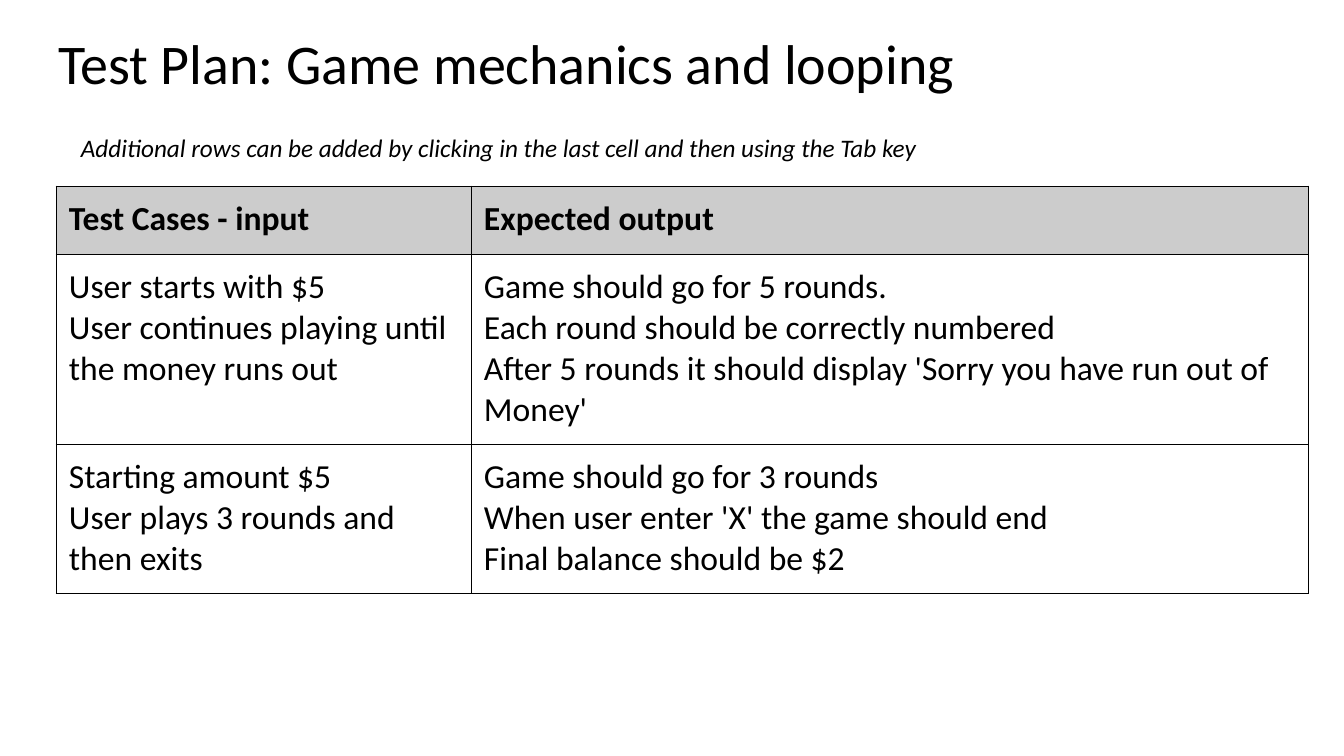
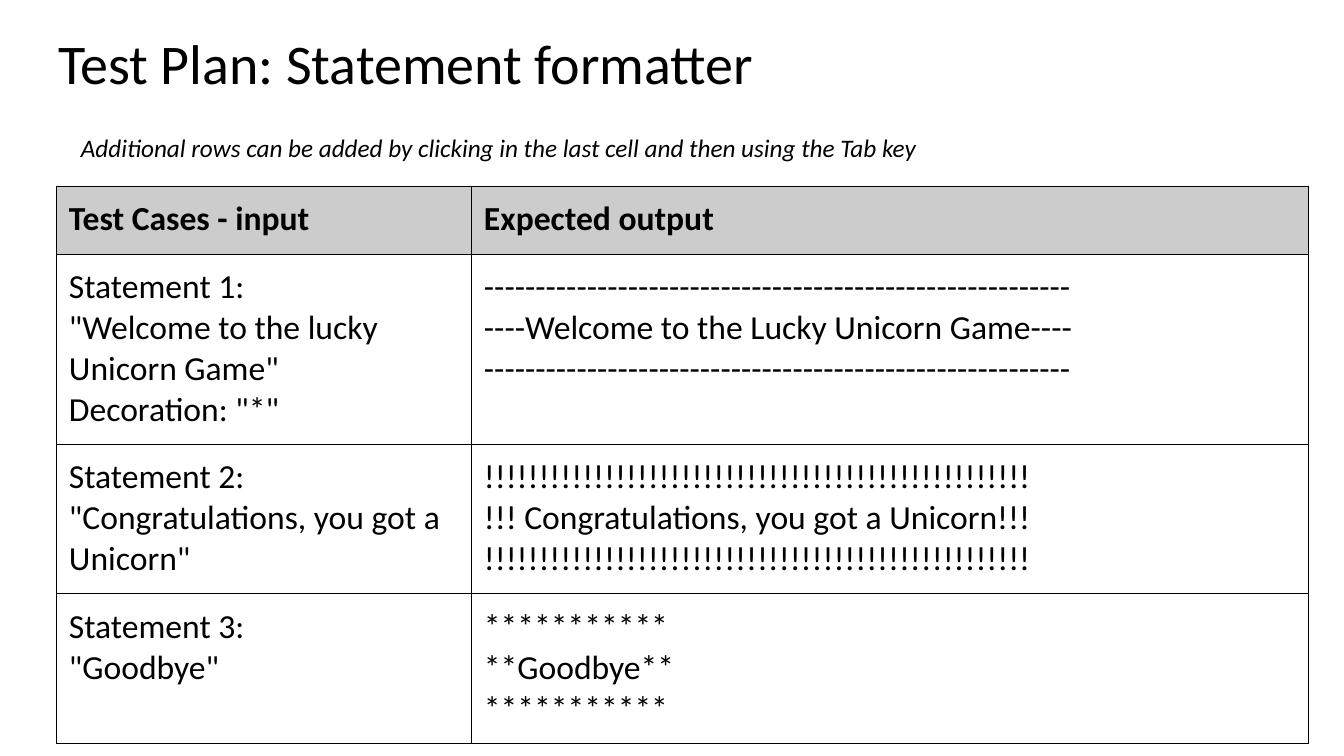
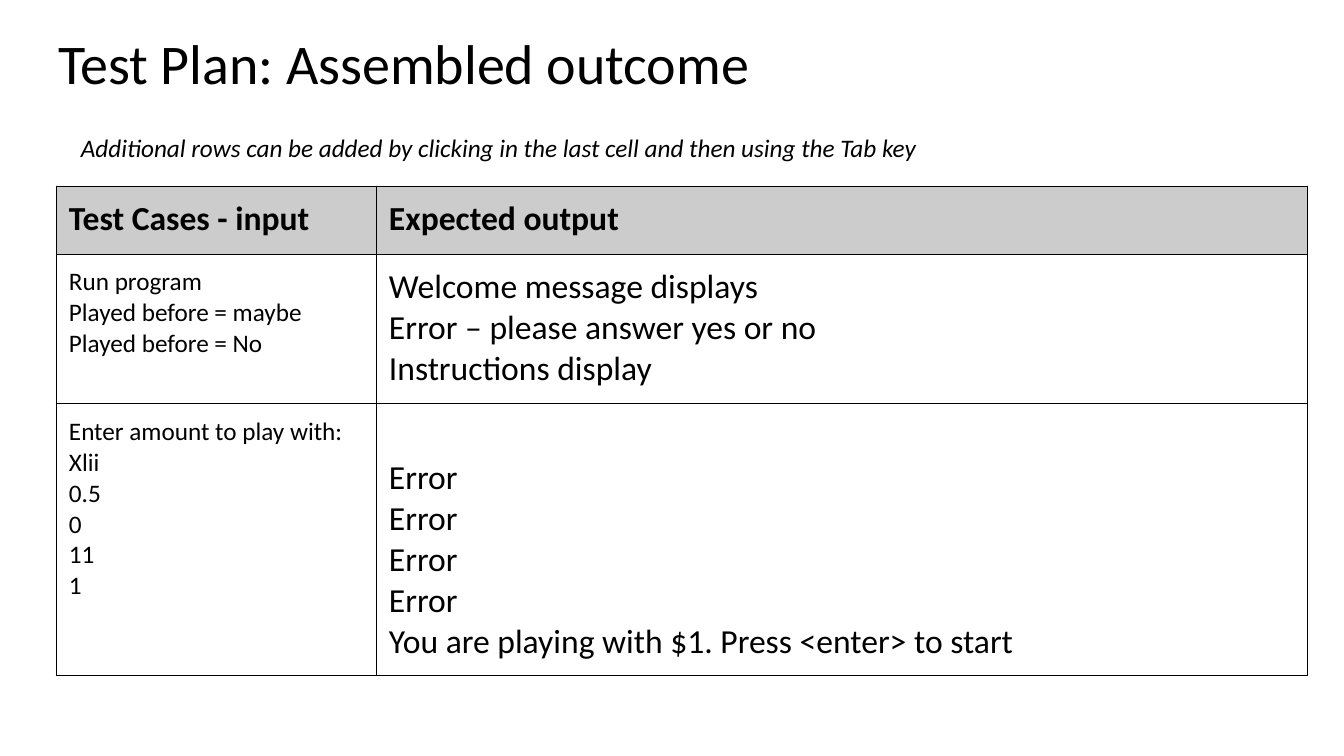
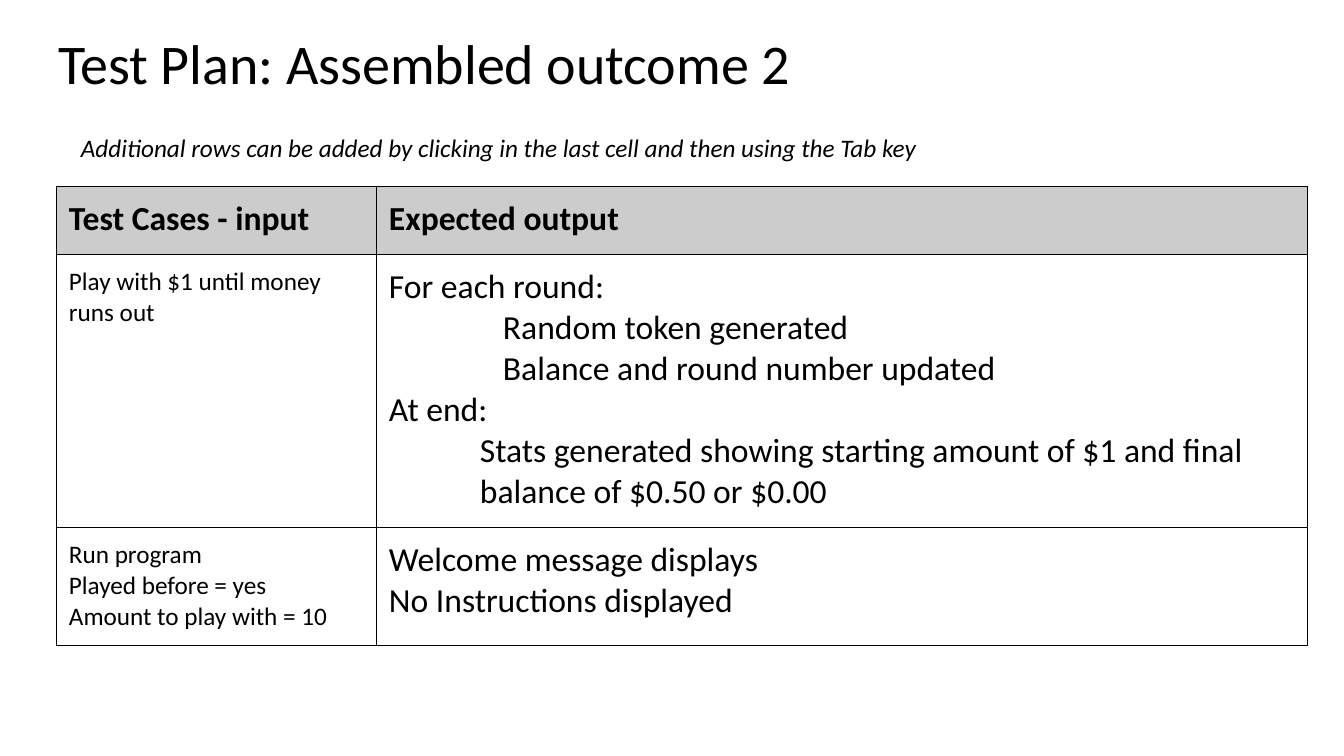
from itertools import zip_longest

from lxml import etree
from pptx import Presentation
from pptx.dml.color import RGBColor
from pptx.enum.text import MSO_ANCHOR, PP_ALIGN
from pptx.oxml.ns import qn
from pptx.util import Pt

LEFT = PP_ALIGN.LEFT
TOP = MSO_ANCHOR.TOP
MIDDLE = MSO_ANCHOR.MIDDLE
BLACK = RGBColor(0x00, 0x00, 0x00)
HEADER_GREY = RGBColor(0xCC, 0xCC, 0xCC)
FONT = "Calibri"
EMU_PER_PX = 914400 / 100.8
CELL_MARGIN = 13
HEADER_HEIGHT = 68
HEADER = ["Test Cases - input", "Expected output"]
HINT = "Additional rows can be added by clicking in the last cell and then using the Tab key"


def px(length):
    return round(length * EMU_PER_PX)


def write(text_frame, text, size=24, bold=False, italic=False, line_spacing=None, indents=()):
    text_frame.word_wrap = True
    for index, (line, indent) in enumerate(zip_longest(text.split("\n"), indents, fillvalue=0)):
        paragraph = text_frame.paragraphs[0] if index == 0 else text_frame.add_paragraph()
        paragraph.alignment = LEFT
        if line_spacing:
            paragraph.line_spacing = line_spacing
        if indent:
            paragraph._p.get_or_add_pPr().set("marL", str(px(indent)))
        run = paragraph.add_run()
        run.text = line
        run.font.name = FONT
        run.font.size = Pt(size)
        run.font.bold = bold
        run.font.italic = italic
        run.font.color.rgb = BLACK


DASHES = "-" * 57
EXCLAMATIONS = "!" * 50
ASTERISKS = "*" * 11

TEST_PLANS = [
    {
        "title": "Test Plan: Game mechanics and looping",
        "widths": [415, 837],
        "input_size": 24,
        "rows": [
            (190, "User starts with $5\nUser continues playing until the money runs out",
             "Game should go for 5 rounds.\nEach round should be correctly numbered\n"
             "After 5 rounds it should display 'Sorry you have run out of\nMoney'"),
            (150, "Starting amount $5\nUser plays 3 rounds and then exits",
             "Game should go for 3 rounds\nWhen user enter 'X' the game should end\n"
             "Final balance should be $2"),
        ],
    },
    {
        "title": "Test Plan: Statement formatter",
        "widths": [415, 837],
        "input_size": 24,
        "rows": [
            (190, 'Statement 1:\n"Welcome to the lucky Unicorn Game"\nDecoration: "*"',
             f"{DASHES}\n----Welcome to the Lucky Unicorn Game----\n{DASHES}"),
            (150, 'Statement 2:\n"Congratulations, you got a Unicorn"',
             f"{EXCLAMATIONS}\n!!! Congratulations, you got a Unicorn!!!\n{EXCLAMATIONS}"),
            (150, 'Statement 3:\n"Goodbye"', f"{ASTERISKS}\n**Goodbye**\n{ASTERISKS}"),
        ],
    },
    {
        "title": "Test Plan: Assembled outcome",
        "widths": [320, 932],
        "input_size": 18,
        "output_margins": {2: 54},
        "rows": [
            (150, "Run program\nPlayed before = maybe\nPlayed before = No",
             "Welcome message displays\nError – please answer yes or no\nInstructions display"),
            (272, "Enter amount to play with:\nXlii\n0.5\n0\n11\n1",
             "Error\nError\nError\nError\nYou are playing with $1. Press <enter> to start"),
        ],
    },
    {
        "title": "Test Plan: Assembled outcome 2",
        "widths": [320, 932],
        "input_size": 18,
        "output_indents": {1: [0, 114, 114, 0, 91]},
        "rows": [
            (273, "Play with $1 until money runs out",
             "For each round:\nRandom token generated\nBalance and round number updated\nAt end:\n"
             "Stats generated showing starting amount of $1 and final balance of $0.50 or $0.00"),
            (119, "Run program\nPlayed before = yes\nAmount to play with = 10",
             "Welcome message displays\nNo Instructions displayed"),
        ],
    },
]

presentation = Presentation()
presentation.slide_width = px(1344)
presentation.slide_height = px(756)
title_only = presentation.slide_layouts[5]

for plan in TEST_PLANS:
    slide = presentation.slides.add_slide(title_only)
    title = slide.shapes.title
    title.left, title.top, title.width, title.height = px(45), px(24), px(1252), px(85)
    title_frame = title.text_frame
    title_frame.margin_left = title_frame.margin_right = px(CELL_MARGIN)
    title_frame.margin_top = title_frame.margin_bottom = px(CELL_MARGIN)
    title_frame.vertical_anchor = MIDDLE
    write(title_frame, plan["title"], size=40, line_spacing=0.9)

    rows = [(HEADER_HEIGHT, *HEADER)] + plan["rows"]
    widths = plan["widths"]
    table_height = sum(row[0] for row in rows)
    table = slide.shapes.add_table(
        len(rows), len(widths), px(56), px(186), px(sum(widths)), px(table_height)).table
    table.first_row = False
    table.horz_banding = False
    for column, width in zip(table.columns, widths):
        column.width = px(width)

    for row_index, (height, *texts) in enumerate(rows):
        table.rows[row_index].height = px(height)
        is_header = row_index == 0
        for column_index, text in enumerate(texts):
            cell = table.cell(row_index, column_index)
            is_output = column_index == 1
            cell.margin_left = cell.margin_right = px(CELL_MARGIN)
            cell.margin_top = cell.margin_bottom = px(CELL_MARGIN)
            cell.vertical_anchor = TOP
            if is_output:
                cell.margin_top = px(plan.get("output_margins", {}).get(row_index, CELL_MARGIN))
            cell_properties = cell._tc.get_or_add_tcPr()
            for side in ("a:lnL", "a:lnR", "a:lnT", "a:lnB"):
                border = etree.SubElement(cell_properties, qn(side), w=str(Pt(0.75)))
                border_fill = etree.SubElement(border, qn("a:solidFill"))
                etree.SubElement(border_fill, qn("a:srgbClr"), val=str(BLACK))
            if is_header:
                cell.fill.solid()
                cell.fill.fore_color.rgb = HEADER_GREY
            else:
                cell.fill.background()
            write(
                cell.text_frame, text, bold=is_header,
                size=24 if is_header or is_output else plan["input_size"],
                indents=plan.get("output_indents", {}).get(row_index, ()) if is_output else ())

    hint = slide.shapes.add_textbox(px(71), px(127), px(1103), px(40))
    write(hint.text_frame, HINT, size=18, italic=True)

presentation.save("out.pptx")
